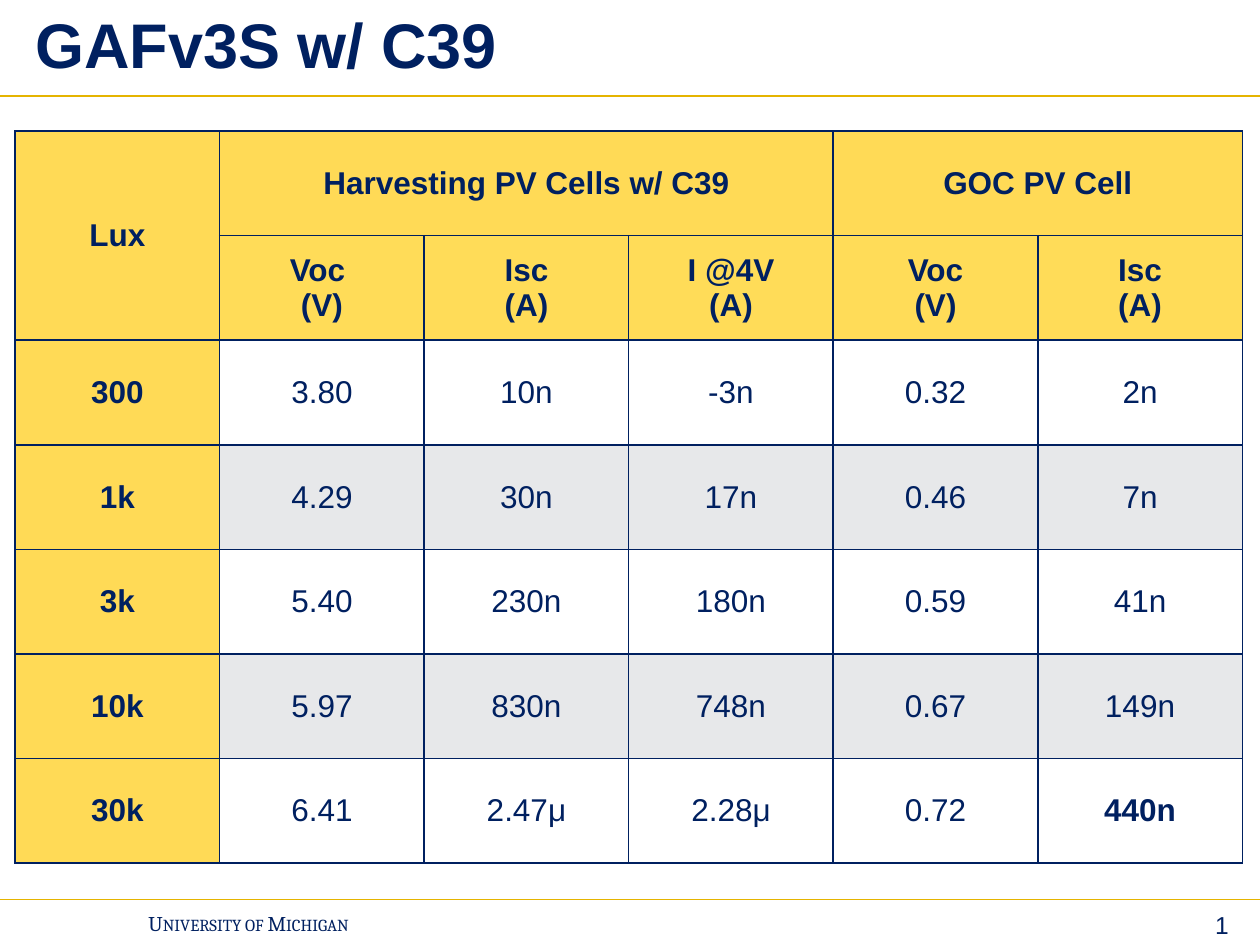
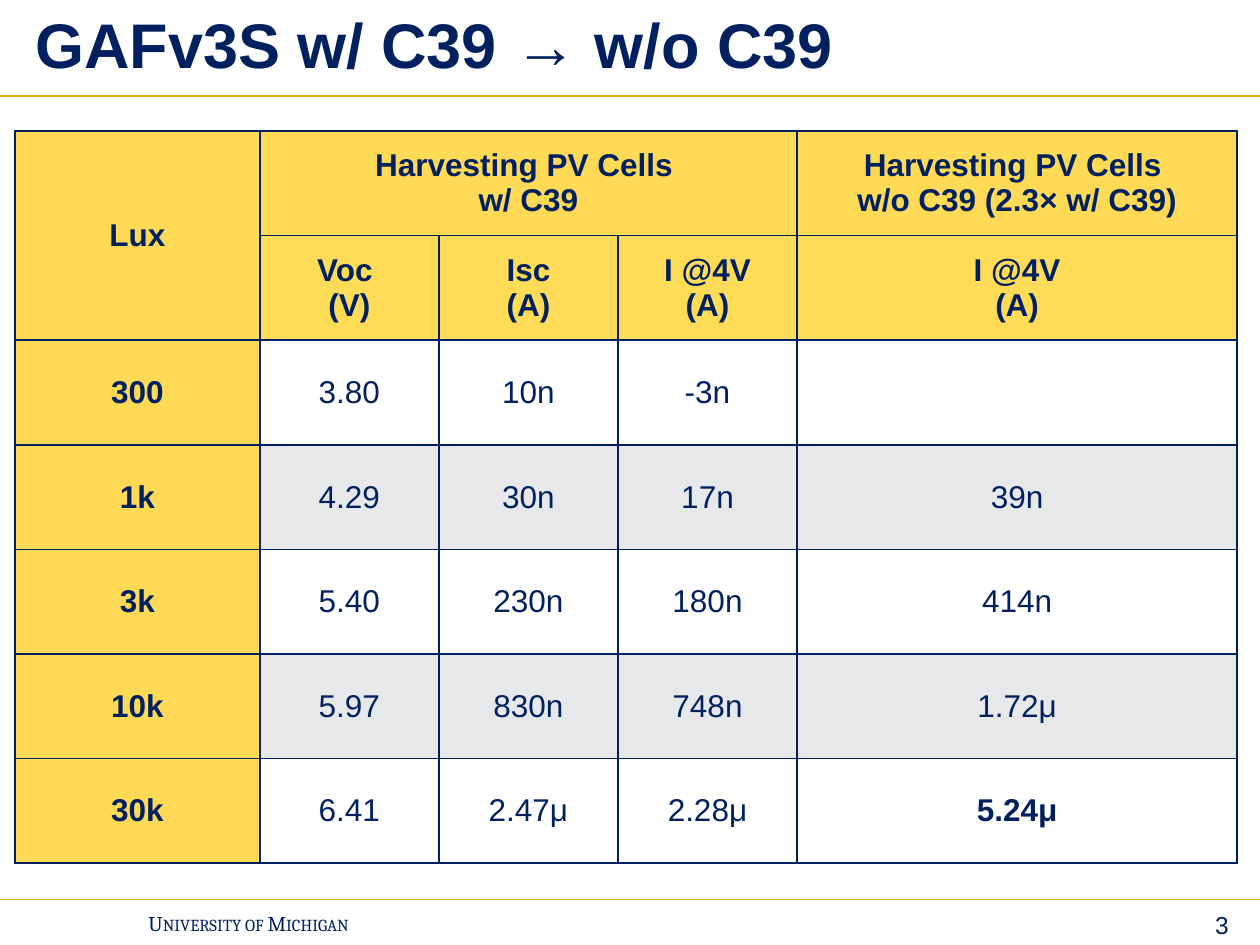
from dataclasses import dataclass
from typing import Any

from lxml import etree
from pptx import Presentation
from pptx.dml.color import RGBColor
from pptx.enum.shapes import MSO_CONNECTOR
from pptx.enum.text import MSO_ANCHOR, MSO_AUTO_SIZE, PP_ALIGN
from pptx.oxml.ns import qn
from pptx.util import Inches, Pt

STRAIGHT = MSO_CONNECTOR.STRAIGHT
MIDDLE = MSO_ANCHOR.MIDDLE
TOP = MSO_ANCHOR.TOP
LEFT, CENTER, RIGHT = PP_ALIGN.LEFT, PP_ALIGN.CENTER, PP_ALIGN.RIGHT
GROW, FIXED = MSO_AUTO_SIZE.SHAPE_TO_FIT_TEXT, MSO_AUTO_SIZE.NONE

NAVY, GOLD, WHITE, GREY = "002060", "E5B400", "FFFFFF", "E7E8EA"
HEADER_YELLOW, SUBHEADER_YELLOW = "FFDA56", "FFDC58"
HEADER_ROWS = 2
RULE_TOPS = (0.76, 7.14)


@dataclass(frozen=True)
class TextStyle:
    size: int
    font: str = "Arial"
    bold: bool = False
    small_caps: bool = False
    align: Any = LEFT


@dataclass(frozen=True)
class Label:
    left: float
    top: float
    width: float
    height: float
    style: TextStyle
    frame_format: dict[str, Any]


@dataclass(frozen=True)
class Group:
    title: str
    first_column: int
    columns: int


@dataclass(frozen=True)
class LuxSlide:
    title: str
    number: str
    width: float
    column_shares: tuple[float, ...]
    groups: tuple[Group, ...]
    rows: list[tuple[str, ...]]


# Shared labels
TITLE = Label(0.19, 0, 9.77, 0.68, TextStyle(36, bold=True), {
    "word_wrap": True, "auto_size": FIXED, "vertical_anchor": MIDDLE,
    "margin_left": Inches(0.09), "margin_right": Inches(0.09),
    "margin_top": Inches(0.04), "margin_bottom": Inches(0.04)})
SLIDE_NUMBER = Label(9.17, 7.17, 0.68, 0.34, TextStyle(14, align=RIGHT), {
    "word_wrap": True, "auto_size": GROW, "vertical_anchor": TOP})
FOOTER = Label(1.08, 7.18, 2.09, 0.3, TextStyle(12, "Cambria", small_caps=True), {
    "word_wrap": False, "auto_size": GROW, "vertical_anchor": TOP})

HEADER_TEXT = TextStyle(18, bold=True, align=CENTER)
VALUE_TEXT = TextStyle(18, align=CENTER)
CELL_FORMAT = {
    "vertical_anchor": MIDDLE,
    "margin_left": Inches(0.1), "margin_right": Inches(0.1),
    "margin_top": Inches(0.05), "margin_bottom": Inches(0.05)}

# Measurements: the harvesting columns appear in both tables
HARVESTING = [
    ("", "Voc \n(V)", "Isc\n(A)", "I @4V\n(A)"),
    ("300", "3.80", "10n", "-3n"),
    ("1k", "4.29", "30n", "17n"),
    ("3k", "5.40", "230n", "180n"),
    ("10k", "5.97", "830n", "748n"),
    ("30k", "6.41", "2.47μ", "2.28μ"),
]
GOC = [("Voc\n(V)", "Isc\n(A)"), ("0.32", "2n"), ("0.46", "7n"),
       ("0.59", "41n"), ("0.67", "149n"), ("0.72", "440n")]
WITHOUT_C39 = [("I @4V\n(A)",), ("",), ("39n",), ("414n",), ("1.72μ",), ("5.24μ",)]


def beside(left: list[tuple[str, ...]], right: list[tuple[str, ...]]) -> list[tuple[str, ...]]:
    return [first + second for first, second in zip(left, right)]


SLIDES = (
    LuxSlide("GAFv3S w/ C39", "1", 9.74, (1,) * 6,
             (Group("Harvesting PV Cells w/ C39", 1, 3), Group("GOC PV Cell", 4, 2)),
             beside(HARVESTING, GOC)),
    LuxSlide("GAFv3S w/ C39 → w/o C39", "3", 9.7, (1.94, 1.42, 1.42, 1.42, 3.49),
             (Group("Harvesting PV Cells \nw/ C39", 1, 3),
              Group("Harvesting PV Cells \nw/o C39 (2.3× w/ C39)", 4, 1)),
             beside(HARVESTING, WITHOUT_C39)),
)


def color(value: str) -> RGBColor:
    return RGBColor.from_string(value)


def apply_format(target: Any, values: dict[str, Any]) -> None:
    for name, value in values.items():
        setattr(target, name, value)


def write_text(text_frame: Any, text: str, style: TextStyle) -> None:
    text_frame.text = text
    for paragraph in text_frame.paragraphs:
        paragraph.alignment = style.align
        for run in paragraph.runs:
            apply_format(run.font, {"size": Pt(style.size), "name": style.font,
                                    "bold": style.bold})
            run.font.color.rgb = color(NAVY)
            if style.small_caps:
                run._r.get_or_add_rPr().set("cap", "small")


def add_label(slide: Any, label: Label, text: str) -> None:
    box = slide.shapes.add_textbox(Inches(label.left), Inches(label.top),
                                   Inches(label.width), Inches(label.height))
    apply_format(box.text_frame, label.frame_format)
    write_text(box.text_frame, text, label.style)


def add_rule(slide: Any, top: float) -> None:
    rule = slide.shapes.add_connector(STRAIGHT, 0, Inches(top), Inches(10), Inches(top))
    rule.line.color.rgb = color(GOLD)
    rule.line.width = Pt(1)
    etree.SubElement(rule._element.spPr, qn("a:effectLst"))


def style_cell(cell: Any, fill: str) -> None:
    apply_format(cell, CELL_FORMAT)
    properties = cell._tc.get_or_add_tcPr()
    for side in ("a:lnL", "a:lnR", "a:lnT", "a:lnB"):
        border = etree.SubElement(properties, qn(side), w=str(Pt(1)))
        line_fill = etree.SubElement(border, qn("a:solidFill"))
        etree.SubElement(line_fill, qn("a:srgbClr"), val=NAVY)
    cell.fill.solid()
    cell.fill.fore_color.rgb = color(fill)


def cell_fill(row: int, column: int) -> str:
    if row == 0 or column == 0:
        return HEADER_YELLOW
    if row < HEADER_ROWS:
        return SUBHEADER_YELLOW
    return GREY if row % 2 else WHITE


def add_lux_table(slide: Any, content: LuxSlide) -> None:
    row_count, column_count = len(content.rows) + 1, len(content.column_shares)
    table = slide.shapes.add_table(row_count, column_count, Inches(0.12), Inches(1.04),
                                   Inches(content.width), Inches(5.81)).table
    apply_format(table, {"first_row": False, "horz_banding": False})
    for column, share in zip(table.columns, content.column_shares):
        column.width = Inches(content.width * share / sum(content.column_shares))

    for row in range(row_count):
        for column in range(column_count):
            style_cell(table.cell(row, column), cell_fill(row, column))

    # Merged headings
    table.cell(0, 0).merge(table.cell(1, 0))
    write_text(table.cell(0, 0).text_frame, "Lux", HEADER_TEXT)
    for group in content.groups:
        heading = table.cell(0, group.first_column)
        if group.columns > 1:
            heading.merge(table.cell(0, group.first_column + group.columns - 1))
        write_text(heading.text_frame, group.title, HEADER_TEXT)

    # Units and values; the last value is emphasised
    last_cell = (row_count - 1, column_count - 1)
    for row, values in enumerate(content.rows, start=1):
        for column, value in enumerate(values):
            if value:
                strong = row < HEADER_ROWS or column == 0 or (row, column) == last_cell
                write_text(table.cell(row, column).text_frame, value,
                           HEADER_TEXT if strong else VALUE_TEXT)


def build_slide(presentation: Any, content: LuxSlide) -> None:
    slide = presentation.slides.add_slide(presentation.slide_layouts[6])
    for top in RULE_TOPS:
        add_rule(slide, top)
    add_label(slide, SLIDE_NUMBER, content.number)
    add_label(slide, FOOTER, "University of Michigan")
    add_label(slide, TITLE, content.title)
    add_lux_table(slide, content)


def main() -> None:
    presentation = Presentation()
    apply_format(presentation, {"slide_width": Inches(10), "slide_height": Inches(7.5)})
    for content in SLIDES:
        build_slide(presentation, content)
    presentation.save("out.pptx")


if __name__ == "__main__":
    main()
